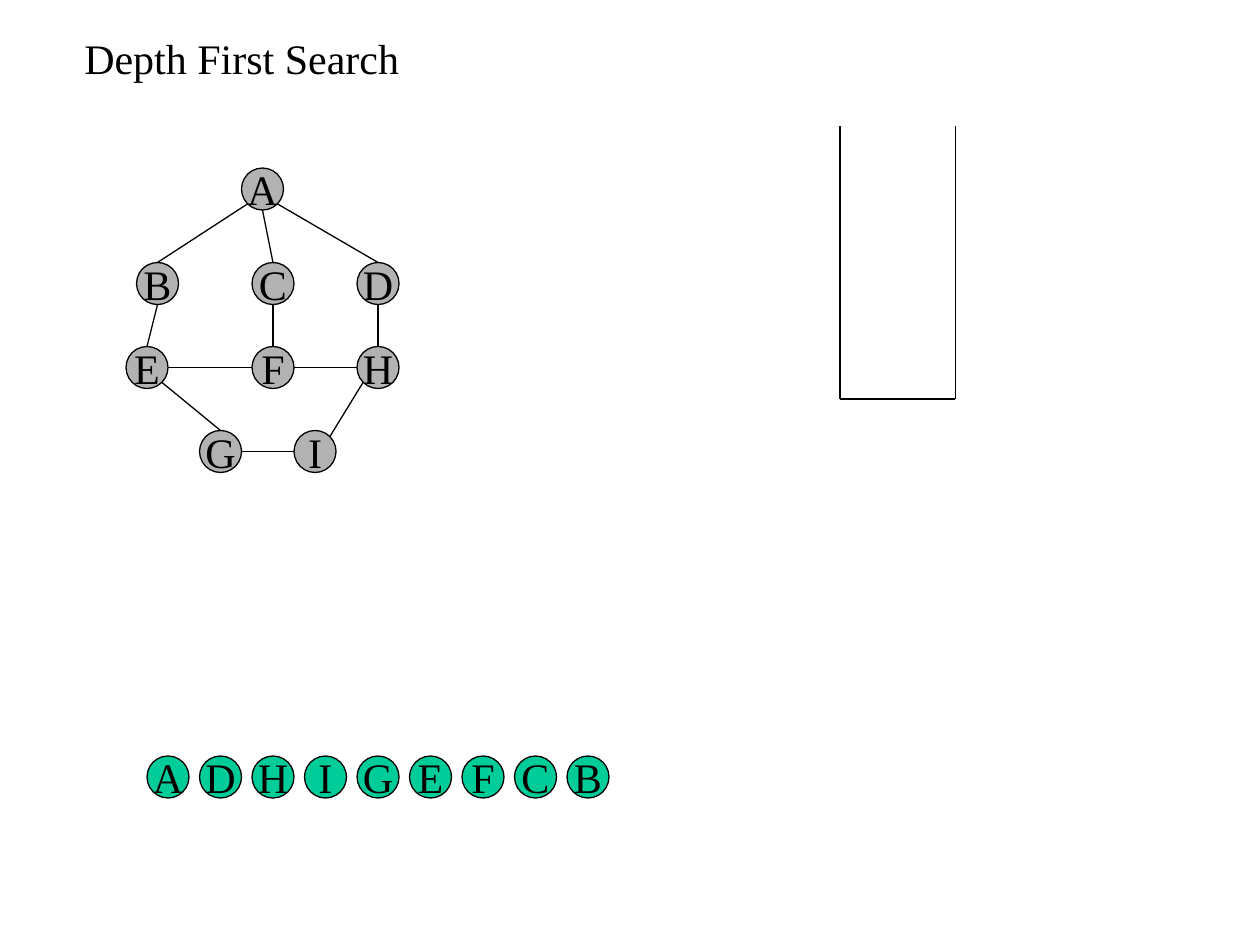
from math import sqrt

from pptx import Presentation
from pptx import util as u
from pptx.dml.color import RGBColor
from pptx.enum import shapes, text
from pptx.oxml import parse_xml
from pptx.oxml.ns import nsdecls

COLORS = {"ink": "000000", "unvisited": "B2B2B2", "visited": "00CC99"}
STEP = u.Cm(2.54) // 12
NODE = 4 * STEP

NODES = {
    "A": (11, 0), "B": (1, 9), "C": (12, 9), "D": (22, 9),
    "E": (0, 17), "F": (12, 17), "H": (22, 17), "G": (7, 25), "I": (16, 25),
}
DIAGONAL = 1 / sqrt(2)
RIM = {
    "top": (0, -1), "bottom": (0, 1), "left": (-1, 0), "right": (1, 0),
    "bottom left": (-DIAGONAL, DIAGONAL), "bottom right": (DIAGONAL, DIAGONAL),
    "top right": (DIAGONAL, -DIAGONAL),
}
EDGES = [
    ("A", "bottom left", "B", "top"), ("A", "bottom", "C", "top"),
    ("A", "bottom right", "D", "top"), ("D", "bottom", "H", "top"),
    ("C", "bottom", "F", "top"), ("B", "bottom", "E", "top"),
    ("E", "bottom right", "G", "top"), ("G", "right", "I", "left"),
    ("H", "bottom left", "I", "top right"), ("F", "left", "E", "right"),
    ("H", "left", "F", "right"),
]


def rgb(name):
    """Return the named colour."""
    return RGBColor.from_string(COLORS[name])


def write(frame, words, size=24, font="Times New Roman", color="ink",
          align=text.PP_ALIGN.LEFT, anchor=text.MSO_ANCHOR.TOP):
    """Write one formatted paragraph that does not wrap."""
    frame.word_wrap = False
    frame.vertical_anchor = anchor
    paragraph = frame.paragraphs[0]
    paragraph.alignment = align
    run = paragraph.add_run()
    run.text = words
    run.font.size = u.Pt(size)
    run.font.name = font
    run.font.color.rgb = rgb(color)


def add_line(slide, start, end):
    """Draw a thin straight line between two points."""
    line = slide.shapes.add_connector(shapes.MSO_CONNECTOR.STRAIGHT, *map(round, (*start, *end)))
    line.line.color.rgb = rgb("ink")
    line.line.width = u.Pt(0.75)
    line._element.spPr.append(parse_xml(f"<a:effectLst {nsdecls('a')}/>"))


def add_node(slide, label, left, top, color):
    """Draw a lettered circle."""
    node = slide.shapes.add_shape(shapes.MSO_SHAPE.OVAL, left, top, NODE, NODE)
    node.shadow.inherit = False
    node.fill.solid()
    node.fill.fore_color.rgb = rgb(color)
    node.line.color.rgb = rgb("ink")
    node.line.width = u.Pt(0.75)
    write(node.text_frame, label, align=text.PP_ALIGN.CENTER, anchor=text.MSO_ANCHOR.MIDDLE)


def add_title(slide, left, top, width, height):
    """Place the slide heading."""
    heading = slide.shapes.add_textbox(left, top, width, height)
    write(heading.text_frame, "Depth First Search")
    heading.text_frame.auto_size = text.MSO_AUTO_SIZE.SHAPE_TO_FIT_TEXT


def add_graph(slide, left, top):
    """Draw the graph's nodes and the edges between their rims."""
    corners = {label: (left + x * STEP, top + y * STEP) for label, (x, y) in NODES.items()}
    for label, corner in corners.items():
        add_node(slide, label, *corner, "unvisited")

    def rim_point(label, side):
        """Return a point on a node's circle."""
        return [c + NODE / 2 * (1 + d) for c, d in zip(corners[label], RIM[side])]

    for source, source_side, target, target_side in EDGES:
        add_line(slide, rim_point(source, source_side), rim_point(target, target_side))


def add_stack(slide, left, top, width, height):
    """Draw the empty stack, open at the top."""
    right, bottom = left + width, top + height
    add_line(slide, (left, top), (left, bottom))
    add_line(slide, (right, top), (right, bottom))
    add_line(slide, (left, bottom), (right, bottom))


def add_visit_order(slide, left, top, order, pitch):
    """Lay out the visited nodes in a row."""
    for index, label in enumerate(order):
        add_node(slide, label, left + index * pitch, top, "visited")


def main():
    """Build and save the slide."""
    deck = Presentation()
    deck.slide_width, deck.slide_height = u.Cm(25.4), u.Cm(19.05)
    slide = deck.slides.add_slide(deck.slide_layouts[6])
    add_graph(slide, 12 * STEP, 16 * STEP)
    add_title(slide, u.Cm(1.45), u.Cm(0.53), u.Cm(6.86), u.Cm(1.27))
    add_stack(slide, 80 * STEP, 12 * STEP, 11 * STEP, 26 * STEP)
    add_visit_order(slide, 14 * STEP, 72 * STEP, "ADHIGEFCB", 5 * STEP)
    deck.save("out.pptx")


if __name__ == "__main__":
    main()
